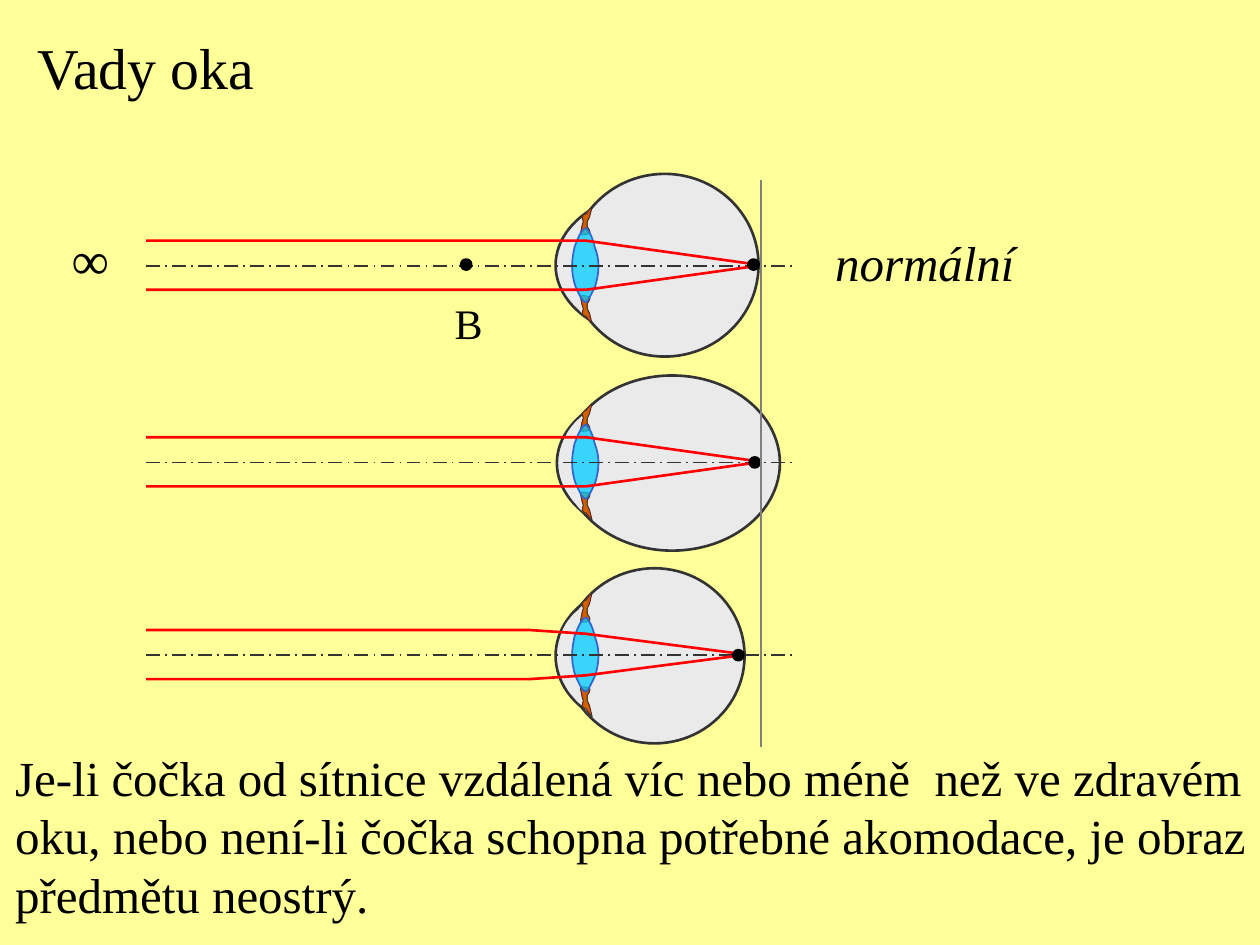
from copy import deepcopy

from lxml import etree
from pptx import Presentation
from pptx.dml.color import RGBColor
from pptx.enum.dml import MSO_LINE
from pptx.enum.shapes import MSO_CONNECTOR, MSO_SHAPE
from pptx.enum.text import MSO_ANCHOR, MSO_AUTO_SIZE, PP_ALIGN
from pptx.oxml.ns import qn
from pptx.util import Inches, Pt

OVAL = MSO_SHAPE.OVAL
STRAIGHT = MSO_CONNECTOR.STRAIGHT
LONG_DASH_DOT = MSO_LINE.LONG_DASH_DOT
TOP = MSO_ANCHOR.TOP
LEFT = PP_ALIGN.LEFT
GROW = MSO_AUTO_SIZE.SHAPE_TO_FIT_TEXT

TITLE_ONLY = 5
BLACK, DARK, GRAY, EYEBALL = "000000", "333333", "808080", "EAEAEA"
RED, LENS_FILL, LENS_LINE = "FF0000", "00CCFF", "3366CC"
LIGAMENT_FILL = ("FF3300", "CC6600", "FF3300")

# Outlines hold a start point, then segments of one point (line) or three
# points (curve). The second coordinate is the distance from the optical axis.
LIGAMENT = [
    [(4.7, -0.47)], [(4.68, -0.39)],
    [(4.67, -0.37), (4.67, -0.36), (4.66, -0.35)],
    [(4.66, -0.34), (4.66, -0.33), (4.66, -0.31)],
    [(4.67, -0.3), (4.69, -0.27), (4.68, -0.26)],
    [(4.67, -0.25), (4.62, -0.24), (4.61, -0.25)],
    [(4.6, -0.25), (4.62, -0.3), (4.62, -0.32)],
    [(4.63, -0.34), (4.63, -0.34), (4.63, -0.35)],
    [(4.63, -0.36), (4.62, -0.38), (4.62, -0.39)],
    [(4.64, -0.41)], [(4.65, -0.41)], [(4.68, -0.45)], [(4.7, -0.47)],
]
LENS = [
    [(4.65, -0.3)],
    [(4.61, -0.29), (4.58, -0.2), (4.56, -0.15)],
    [(4.55, -0.1), (4.54, -0.05), (4.54, 0)],
    [(4.54, 0.05), (4.55, 0.12), (4.57, 0.17)],
    [(4.59, 0.21), (4.62, 0.29), (4.65, 0.29)],
    [(4.67, 0.28), (4.7, 0.21), (4.72, 0.17)],
    [(4.74, 0.12), (4.75, 0.05), (4.75, 0)],
    [(4.75, -0.05), (4.74, -0.1), (4.72, -0.15)],
    [(4.71, -0.2), (4.68, -0.28), (4.65, -0.3)],
]
ROUND_JOINT = [
    [(4.84, -0.44)],
    [(4.82, -0.58), (4.71, -0.44), (4.66, -0.4)],
    [(4.6, -0.37), (4.55, -0.32), (4.52, -0.24)],
    [(4.5, -0.17), (4.49, -0.05), (4.49, 0.02)],
    [(4.49, 0.1), (4.5, 0.16), (4.52, 0.22)],
    [(4.55, 0.29), (4.6, 0.36), (4.64, 0.4)],
    [(4.74, 0.46)],
    [(4.78, 0.32), (4.85, -0.29), (4.84, -0.44)],
]
OVAL_JOINT = [
    [(4.84, -0.44)],
    [(4.82, -0.58), (4.7, -0.42), (4.66, -0.4)],
    [(4.62, -0.39), (4.63, -0.37), (4.61, -0.36)],
    [(4.59, -0.34), (4.57, -0.33), (4.55, -0.3)],
    [(4.52, -0.27), (4.49, -0.22), (4.47, -0.16)],
    [(4.46, -0.1), (4.46, 0), (4.47, 0.06)],
    [(4.47, 0.12), (4.49, 0.18), (4.5, 0.22)],
    [(4.52, 0.27), (4.54, 0.3), (4.57, 0.33)],
    [(4.59, 0.36), (4.61, 0.38), (4.64, 0.4)],
    [(4.74, 0.46)],
    [(4.78, 0.32), (4.85, -0.29), (4.84, -0.44)],
]
PARALLEL_RAY = [[(1.16, -0.2)], [(4.65, -0.2)], [(6.01, -0.01)]]
BENT_RAY = [[(1.16, -0.2)], [(4.2, -0.2)], [(4.65, -0.17)], [(5.89, -0.01)]]

# cornea and globe: left, top, width, height; focus: left and top of the dot
EYES = [
    dict(axis=2.11, cornea=(4.41, 1.53, 1.57, 1.15), globe=(4.53, 1.38, 1.49, 1.45),
         joint=ROUND_JOINT, shift=0, stretch=1, ray=PARALLEL_RAY, focus=(5.94, 2.06)),
    dict(axis=3.67, cornea=(4.42, 3.1, 1.57, 1.15), globe=(4.48, 2.98, 1.71, 1.39),
         joint=OVAL_JOINT, shift=0, stretch=1, ray=PARALLEL_RAY, focus=(5.95, 3.63)),
    dict(axis=5.2, cornea=(4.41, 4.63, 1.4, 1.15), globe=(4.48, 4.51, 1.43, 1.39),
         joint=OVAL_JOINT, shift=-0.02, stretch=1.06, ray=BENT_RAY, focus=(5.82, 5.16)),
]


def color(value):
    return RGBColor.from_string(value)


def place(outline, axis, shift=0, stretch=1):
    """Move an outline to its axis; a negative stretch mirrors it."""
    if stretch < 0:
        axis -= 0.01
    return [[(x + shift, axis + y * stretch) for x, y in segment] for segment in outline]


class Sketch:
    font = "Times New Roman"

    def __init__(self, page):
        self.page = page
        self.shapes = page.shapes

    def start_group(self):
        self.shapes = self.page.shapes.add_group_shape().shapes

    def end_group(self):
        self.shapes = self.page.shapes

    def paint(self, shape, fill=None, line=None, width=1.5, alpha=None):
        shape.shadow.inherit = False
        if fill is None:
            shape.fill.background()
        elif isinstance(fill, tuple):
            shape.fill.gradient()
            shape.fill.gradient_angle = 0
            stop_list = shape.element.spPr.find(".//" + qn("a:gsLst"))
            stop_list.insert(1, deepcopy(stop_list[0]))
            for stop, position, value in zip(shape.fill.gradient_stops, (0, 0.5, 1), fill):
                stop.position = position
                stop.color.rgb = color(value)
        else:
            shape.fill.solid()
            shape.fill.fore_color.rgb = color(fill)
        if alpha:
            fill_color = shape.element.spPr.find(qn("a:solidFill"))[0]
            etree.SubElement(fill_color, qn("a:alpha")).set("val", str(alpha * 1000))
        if line is None:
            shape.line.fill.background()
        else:
            shape.line.color.rgb = color(line)
            shape.line.width = Pt(width)

    def ellipse(self, left, top, width, height, fill, line):
        shape = self.shapes.add_shape(OVAL, *map(Inches, (left, top, width, height)))
        self.paint(shape, fill, line)

    def dot(self, left, top):
        self.ellipse(left, top, 0.08, 0.08, BLACK, BLACK)

    def freeform(self, outline, closed=True, **style):
        """Draw straight segments, then join each three-point segment into a curve."""
        points = [(Inches(x), Inches(y)) for segment in outline for x, y in segment]
        builder = self.shapes.build_freeform(*points[0])
        builder.add_line_segments(points[1:], close=closed)
        shape = builder.convert_to_shape()
        steps = iter(shape.element.spPr.findall(".//" + qn("a:lnTo")))
        for segment in outline[1:]:
            first, *others = [next(steps) for _ in segment]
            if others:
                first.tag = qn("a:cubicBezTo")
            for step in others:
                first.append(step[0])
                step.getparent().remove(step)
        self.paint(shape, **style)

    def line(self, x1, y1, x2, y2, stroke, **formats):
        line = self.shapes.add_connector(STRAIGHT, *map(Inches, (x1, y1, x2, y2)))
        line.line.color.rgb = color(stroke)
        for name, value in formats.items():
            setattr(line.line, name, value)
        etree.SubElement(line.element.spPr, qn("a:effectLst"))

    def text(self, lines, left, top, width, height, size,
             box=None, inset=0.1, wrap=False, italic=False):
        area = dict(left=left, top=top, width=width, height=height)
        box = box or self.shapes.add_textbox(0, 0, 0, 0)
        for name, value in area.items():
            setattr(box, name, Inches(value))
        frame = box.text_frame
        formats = dict(margin_left=Inches(inset), margin_right=Inches(inset),
                       margin_top=Inches(0.05), margin_bottom=Inches(0.05),
                       word_wrap=wrap, auto_size=GROW, vertical_anchor=TOP)
        for name, value in formats.items():
            setattr(frame, name, value)
        frame.text = "\n".join(lines)
        for para in frame.paragraphs:
            para.alignment = LEFT
            for name, value in dict(name=self.font, size=Pt(size), italic=italic).items():
                setattr(para.font, name, value)
            para.font.color.rgb = color(BLACK)

    def eye(self, axis, cornea, globe, joint, shift, stretch, ray, focus):
        self.start_group()
        for area in (cornea, globe):
            self.ellipse(*area, EYEBALL, DARK)
        self.freeform(place(joint, axis, shift), fill=EYEBALL)
        for side in (1, -1):
            self.freeform(place(LIGAMENT, axis, stretch=side * stretch),
                          fill=LIGAMENT_FILL, line=DARK, width=0.5)
        self.freeform(place(LENS, axis), fill=LENS_FILL, line=LENS_LINE, width=1, alpha=75)
        self.line(1.16, axis, 6.3, axis, DARK, width=Pt(1), dash_style=LONG_DASH_DOT)
        self.end_group()
        for side in (1, -1):
            self.freeform(place(ray, axis, stretch=side), closed=False, line=RED)
        self.dot(*focus)


def main():
    deck = Presentation()
    deck.slide_width, deck.slide_height = Inches(10), Inches(7.5)
    page = deck.slides.add_slide(deck.slide_layouts[TITLE_ONLY])
    page.background.fill.solid()
    page.background.fill.fore_color.rgb = color("FFFF99")

    sketch = Sketch(page)
    sketch.text(["Vady oka"], 0.2, 0.2, 1.97, 0.65, 33, box=page.shapes.title)
    sketch.text(["normální"], 6.53, 1.8, 1.66, 0.57, 28, italic=True)
    sketch.text(["Je-li čočka od sítnice vzdálená víc nebo méně  než ve zdravém",
                 "oku, nebo není-li čočka schopna potřebné akomodace, je obraz",
                 "předmětu neostrý."], 0.1, 5.88, 9.81, 1.5, 28, inset=0.02)
    for eye in EYES:
        sketch.eye(**eye)
    sketch.text(["∞"], 0.47, 1.75, 0.5, 0.6, 30)
    sketch.dot(3.66, 2.06)
    sketch.text(["B"], 3.51, 2.31, 0.38, 0.5, 24, wrap=True)
    sketch.line(6.04, 1.43, 6.04, 5.93, GRAY, width=Pt(1.5))
    deck.save("out.pptx")


if __name__ == "__main__":
    main()
